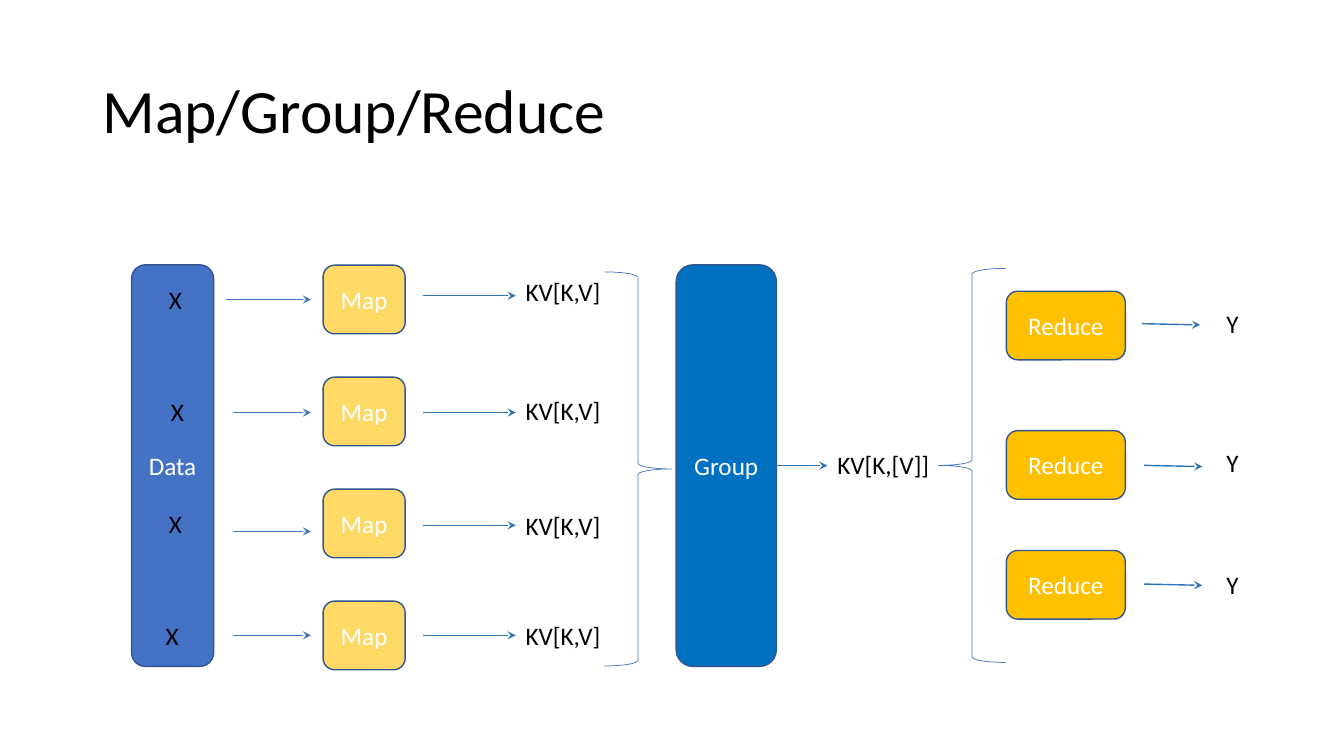
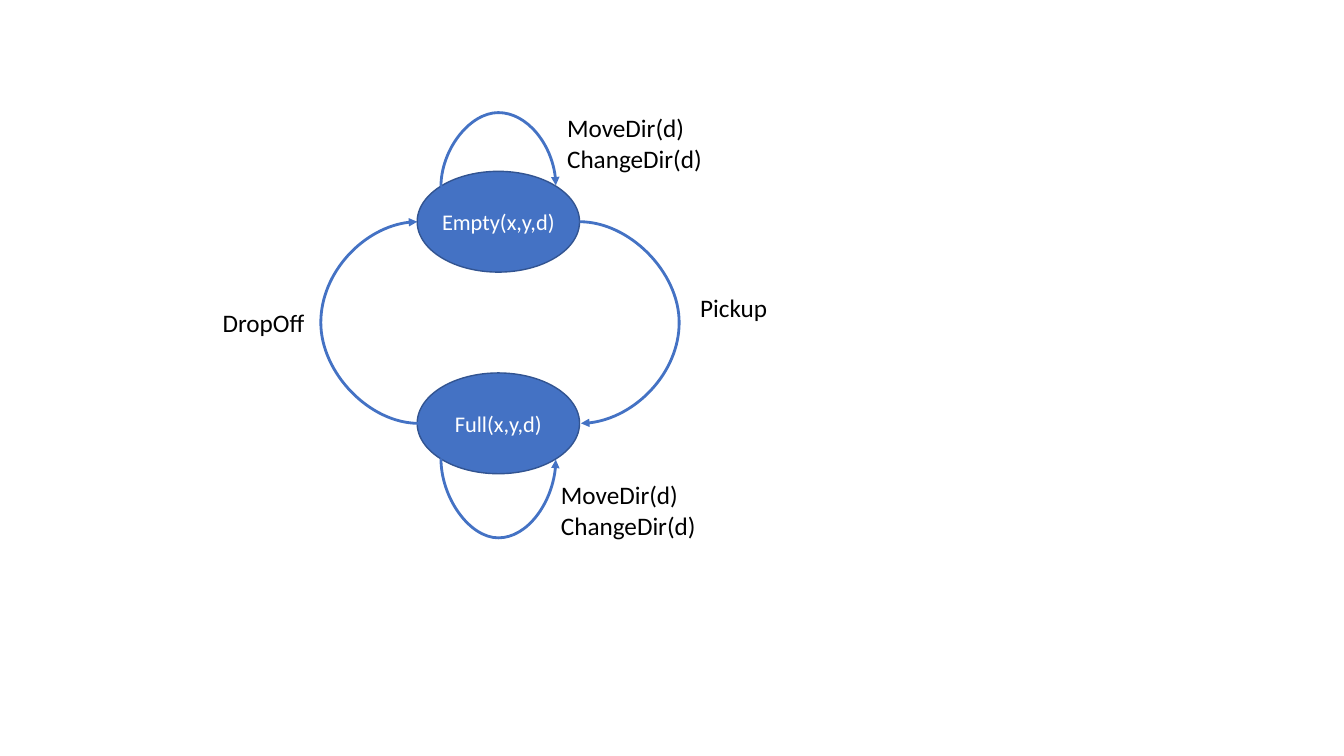
from dataclasses import dataclass
from math import sqrt
from typing import NamedTuple

from lxml.etree import SubElement
from pptx import Presentation
from pptx.dml.color import RGBColor
from pptx.enum.shapes import MSO_CONNECTOR, MSO_SHAPE
from pptx.enum.text import MSO_ANCHOR, MSO_AUTO_SIZE, PP_ALIGN
from pptx.oxml.ns import qn
from pptx.util import Pt


@dataclass(frozen=True)
class Theme:
    """Colours, font and sizes shared by the slides."""

    font: str = "Calibri"
    black: RGBColor = RGBColor.from_string("000000")
    white: RGBColor = RGBColor.from_string("FFFFFF")
    blue: RGBColor = RGBColor.from_string("4472C4")
    outline: RGBColor = RGBColor.from_string("325491")
    arrow: RGBColor = RGBColor.from_string("2E75B6")
    group: RGBColor = RGBColor.from_string("0070C0")
    mapper: RGBColor = RGBColor.from_string("FFD966")
    reducer: RGBColor = RGBColor.from_string("FFC000")
    title_size: int = 44
    body_size: int = 18
    state_size: int = 16


class Box(NamedTuple):
    """A rectangle in points."""

    left: float
    top: float
    width: float
    height: float

    def inner(self, left, top, width, height):
        """Return a box placed relative to this one."""
        return Box(self.left + left, self.top + top, width, height)

    def lengths(self):
        """Return the four lengths for the library."""
        return [Pt(value) for value in self]


THEME = Theme()


def apply(target, formats):
    """Set each named attribute on the target."""
    for name, value in formats.items():
        setattr(target, name, value)


def write(shape, text, color, size, align, anchor):
    """Fill a shape with formatted lines of text."""
    frame = shape.text_frame
    frame.text = text
    apply(frame, {"word_wrap": True, "auto_size": MSO_AUTO_SIZE.NONE,
                  "vertical_anchor": anchor})
    for para in frame.paragraphs:
        para.alignment = align
        apply(para.font, {"name": THEME.font, "size": Pt(size)})
        para.font.color.rgb = color


def add_title(page, box, text):
    """Place and format the slide title."""
    title = page.shapes.title
    apply(title, dict(zip(("left", "top", "width", "height"), box.lengths())))
    write(title, text, THEME.black, THEME.title_size, PP_ALIGN.LEFT, MSO_ANCHOR.MIDDLE)
    title.text_frame.paragraphs[0].line_spacing = 0.9


def add_label(page, box, text):
    """Add a black text label."""
    label = page.shapes.add_textbox(*box.lengths())
    write(label, text, THEME.black, THEME.body_size, PP_ALIGN.LEFT, MSO_ANCHOR.TOP)


def add_node(page, box, text, fill, kind=MSO_SHAPE.ROUNDED_RECTANGLE, size=THEME.body_size):
    """Add a filled shape with centred white text."""
    node = page.shapes.add_shape(kind, *box.lengths())
    node.shadow.inherit = False
    node.fill.solid()
    node.fill.fore_color.rgb = fill
    node.line.color.rgb = THEME.outline
    node.line.width = Pt(1)
    write(node, text, THEME.white, size, PP_ALIGN.CENTER, MSO_ANCHOR.MIDDLE)
    return node


def add_brace(page, box, rotation=0):
    """Add a thin right brace, turned by the rotation."""
    brace = page.shapes.add_shape(MSO_SHAPE.RIGHT_BRACE, *box.lengths())
    brace.shadow.inherit = False
    brace.fill.background()
    brace.line.color.rgb = THEME.blue
    apply(brace.line, {"width": Pt(0.5)})
    brace.rotation = rotation


def style_arrow(connector, color, width, head):
    """Give a connector its line, arrowhead and no shadow."""
    connector.line.color.rgb = color
    connector.line.width = Pt(width)
    properties = connector.element.spPr
    SubElement(properties.find(qn("a:ln")), qn("a:tailEnd"), type=head)
    SubElement(properties, qn("a:effectLst"))


def add_arrow(page, box, color=THEME.arrow):
    """Add a straight arrow across a box."""
    left, top, width, height = box
    ends = [Pt(value) for value in (left, top, left + width, top + height)]
    arrow = page.shapes.add_connector(MSO_CONNECTOR.STRAIGHT, *ends)
    style_arrow(arrow, color, 1, "stealth")
    return arrow


def add_curve(page, center_x, center_y, span, reach, turn):
    """Add a curved arrow that bulges by reach, with turn as transform attributes."""
    left, top = center_x - 0.5, center_y - span / 2
    ends = [Pt(value) for value in (left, top, left + 1, top + span)]
    curve = page.shapes.add_connector(MSO_CONNECTOR.CURVE, *ends)
    properties = curve.element.spPr
    apply_to = properties.find(qn("a:xfrm"))
    for name, value in turn.items():
        apply_to.set(name, value)
    guides = next(properties.iter(qn("a:avLst")))
    SubElement(guides, qn("a:gd"), name="adj1", fmla=f"val {round(reach * 100000)}")
    style_arrow(curve, THEME.blue, 2, "triangle")


def add_map_stage(page, box):
    """Draw the data column and its four map rows."""
    add_node(page, box.inner(0, 0, 58.6, box.height), "Data", THEME.blue)
    pitch = 80
    rows = [(19.5, 67.5, 24.8, 4.7, 22), (21, 72.7, 25.5, 9.6, 25.5),
            (19.5, 72.7, 30.4, 11.7, 26), (17.3, 72.7, 24.6, 10.2, 24.6)]
    for index, (x_left, start, input_y, pair_top, output_y) in enumerate(rows):
        row = box.inner(0, index * pitch, box.width, pitch)
        add_label(page, row.inner(x_left, 10.3, 26, 29), "X")
        add_arrow(page, row.inner(start, input_y, 128.2 - start, 0), THEME.blue)
        add_node(page, row.inner(136.8, 0.2, 58.6, 49), "Map", THEME.mapper)
        add_arrow(page, row.inner(208, output_y, 66.4, 0))
        add_label(page, row.inner(274.3, pair_top, 74, 29), "KV[K,V]")
    add_brace(page, box.inner(337.7, 5, 48, 281.5))


def add_group_stage(page, box):
    """Draw the group column and its output."""
    group = add_node(page, box.inner(0, 0, 71.6, box.height), "Group", THEME.group)
    arrow = add_arrow(page, box.inner(71.6, box.height / 2, 36.4, 0))
    arrow.begin_connect(group, 3)
    add_label(page, box.inner(108, 128.3, 93, 29), "KV[K,[V]]")


def add_reduce_stage(page, box):
    """Draw the opening brace and the three reduce rows."""
    add_brace(page, box.inner(0, 2.5, 48, 281.5), 180)
    rows = [(18.8, 145.5, 23.2, 8.9), (118.4, 147, 24.8, 8), (204, 147, 24, 10.2)]
    for top, start, arrow_y, label_top in rows:
        row = box.inner(0, top, box.width, 49)
        add_node(page, row.inner(48.5, 0, 85, 49), "Reduce", THEME.reducer)
        add_arrow(page, row.inner(start, arrow_y, 41.5, 0.9))
        add_label(page, row.inner(198.7, label_top, 26, 29), "Y")


def add_state_machine(page, box):
    """Draw two states joined by curves, each with a loop."""
    width, height, pitch = 116, 72, 144
    left, top = 187, 51.2
    upper = box.inner(left, top, width, height)
    lower = box.inner(left, top + pitch, width, height)
    for state, text in ((upper, "Empty(x,y,d)"), (lower, "Full(x,y,d)")):
        node = add_node(page, state, text, THEME.blue, MSO_SHAPE.OVAL, THEME.state_size)
        apply(node.text_frame, dict.fromkeys(
            ("margin_left", "margin_top", "margin_right", "margin_bottom"), 0))
    center_x = upper.left + width / 2
    upper_y, lower_y = upper.top + height / 2, lower.top + height / 2
    middle_y = (upper_y + lower_y) / 2
    span, rise = width / sqrt(2), height / sqrt(8)
    curves = [
        (center_x, upper_y - rise, span, 53.4, {"rot": "5400000", "flipH": "1", "flipV": "1"}),
        (upper.left + width + 0.5, middle_y, pitch, 71.7, {}),
        (upper.left + 0.5, middle_y, pitch, 70.4, {"rot": "10800000"}),
        (center_x, lower_y + rise, span, 57.3, {"rot": "16200000", "flipH": "1"}),
    ]
    for curve in curves:
        add_curve(page, *curve)
    labels = [(287, 5.8, 116, 51, "MoveDir(d)\nChangeDir(d)"), (382, 134, 68, 29, "Pickup"),
              (40.9, 144.8, 80, 29, "DropOff"), (282.6, 267.9, 116, 51, "MoveDir(d)\nChangeDir(d)")]
    for *place, text in labels:
        add_label(page, box.inner(*place), text)


def main():
    """Build and save both slides."""
    deck = Presentation()
    apply(deck, {"slide_width": Pt(960), "slide_height": Pt(540)})
    page = deck.slides.add_slide(deck.slide_layouts[5])
    add_title(page, Box(66, 28.8, 828, 104.4), "Map/Group/Reduce")
    add_map_stage(page, Box(94, 189.2, 386, 286.8))
    add_group_stage(page, Box(483, 189.2, 201, 286.8))
    add_reduce_stage(page, Box(670.3, 189.2, 225, 286.8))
    page = deck.slides.add_slide(deck.slide_layouts[6])
    add_state_machine(page, Box(111, 71.2, 444, 319))
    deck.save("out.pptx")


if __name__ == "__main__":
    main()
